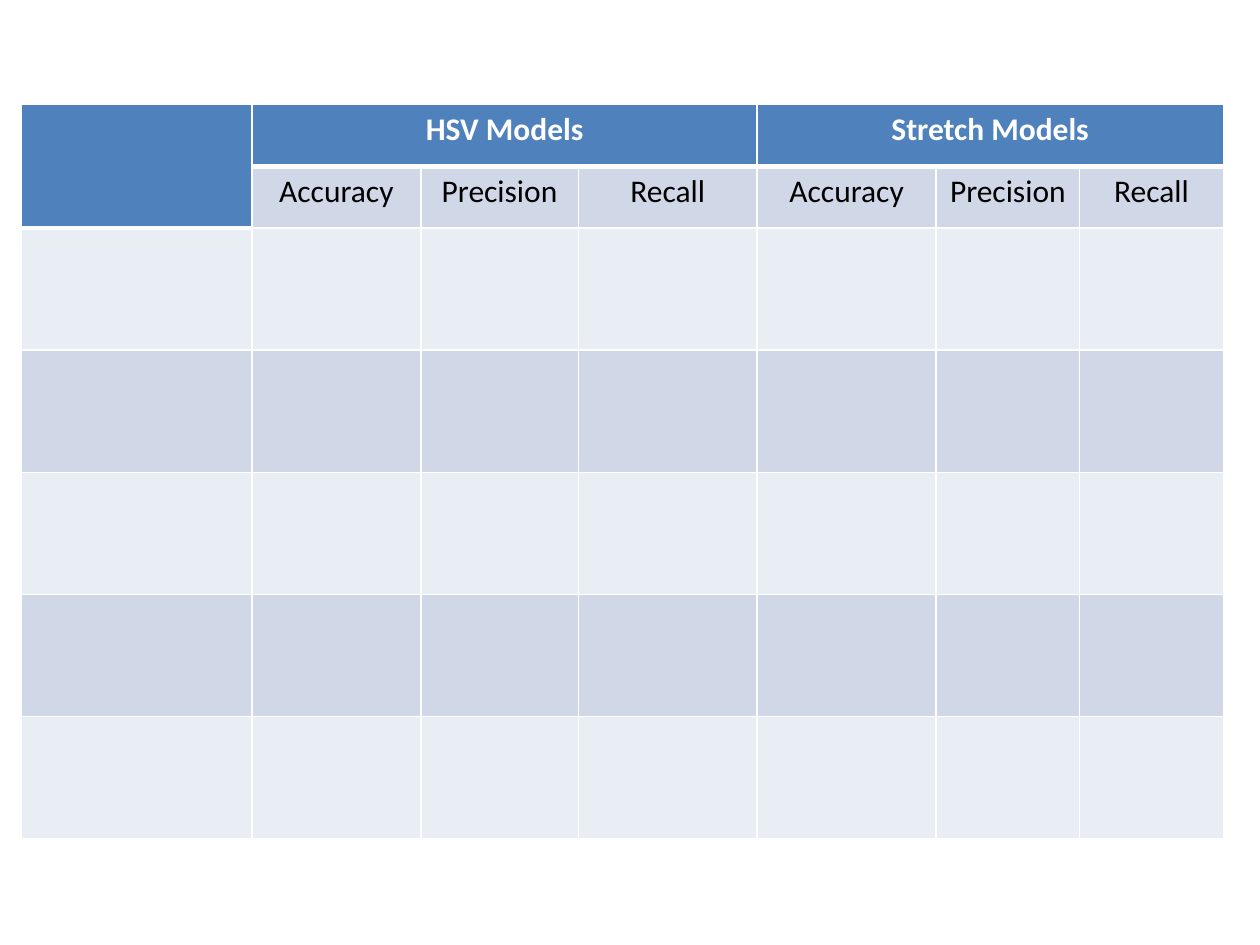
from lxml.etree import SubElement
from pptx import Presentation
from pptx.dml.color import RGBColor
from pptx.enum.text import PP_ALIGN
from pptx.oxml.ns import qn
from pptx.util import Inches, Pt

HEADER_BLUE = RGBColor(0x4F, 0x81, 0xBD)
BAND_DARK = RGBColor(0xD0, 0xD8, 0xE8)
BAND_LIGHT = RGBColor(0xE9, 0xED, 0xF4)
WHITE = RGBColor(0xFF, 0xFF, 0xFF)
BLACK = RGBColor(0, 0, 0)

MODEL_GROUPS = ["HSV Models", "Stretch Models"]
METRICS = ["Accuracy", "Precision", "Recall"]
COLUMN_WIDTHS = [1.83, 1.34, 1.25, 1.42, 1.42, 1.14, 1.14]
ROW_HEIGHTS = [0.49] * 2 + [0.97] * 5


def set_borders(cell, top, bottom):
    """Draw white borders; top and bottom widths are in points."""
    properties = cell._tc.get_or_add_tcPr()
    for side, width in (("L", 1), ("R", 1), ("T", top), ("B", bottom)):
        line = SubElement(properties, qn(f"a:ln{side}"), w=str(Pt(width)))
        fill = SubElement(line, qn("a:solidFill"))
        SubElement(fill, qn("a:srgbClr"), val=str(WHITE))


def style_cell(cell, row, column):
    header_end = 1 if column == 0 else 0
    set_borders(cell,
                top=3 if row == header_end + 1 else 1,
                bottom=3 if row == header_end else 1)
    cell.fill.solid()
    if row <= header_end:
        cell.fill.fore_color.rgb = HEADER_BLUE
    else:
        cell.fill.fore_color.rgb = BAND_DARK if row % 2 else BAND_LIGHT


def write_label(cell, text, color, bold):
    cell.text = text
    paragraph = cell.text_frame.paragraphs[0]
    paragraph.alignment = PP_ALIGN.CENTER
    font = paragraph.font
    font.name = "Calibri"
    font.size = Pt(18)
    font.bold = bold
    font.color.rgb = color


def add_results_table(slide):
    table = slide.shapes.add_table(
        len(ROW_HEIGHTS), len(COLUMN_WIDTHS), Inches(0.17), Inches(0.83),
        Inches(sum(COLUMN_WIDTHS)), Inches(sum(ROW_HEIGHTS))).table
    for column, width in zip(table.columns, COLUMN_WIDTHS):
        column.width = Inches(width)
    for row, height in zip(table.rows, ROW_HEIGHTS):
        row.height = Inches(height)
    for row in range(len(ROW_HEIGHTS)):
        for column in range(len(COLUMN_WIDTHS)):
            style_cell(table.cell(row, column), row, column)
    return table


def add_headings(table):
    table.cell(0, 0).merge(table.cell(1, 0))
    for group, title in enumerate(MODEL_GROUPS):
        first = 1 + group * len(METRICS)
        heading = table.cell(0, first)
        heading.merge(table.cell(0, first + len(METRICS) - 1))
        write_label(heading, title, WHITE, True)
        for column, metric in enumerate(METRICS, first):
            write_label(table.cell(1, column), metric, BLACK, False)


def main():
    presentation = Presentation()
    presentation.slide_width = Inches(10)
    presentation.slide_height = Inches(7.5)
    slide = presentation.slides.add_slide(presentation.slide_layouts[6])
    add_headings(add_results_table(slide))
    presentation.save("out.pptx")


if __name__ == "__main__":
    main()
